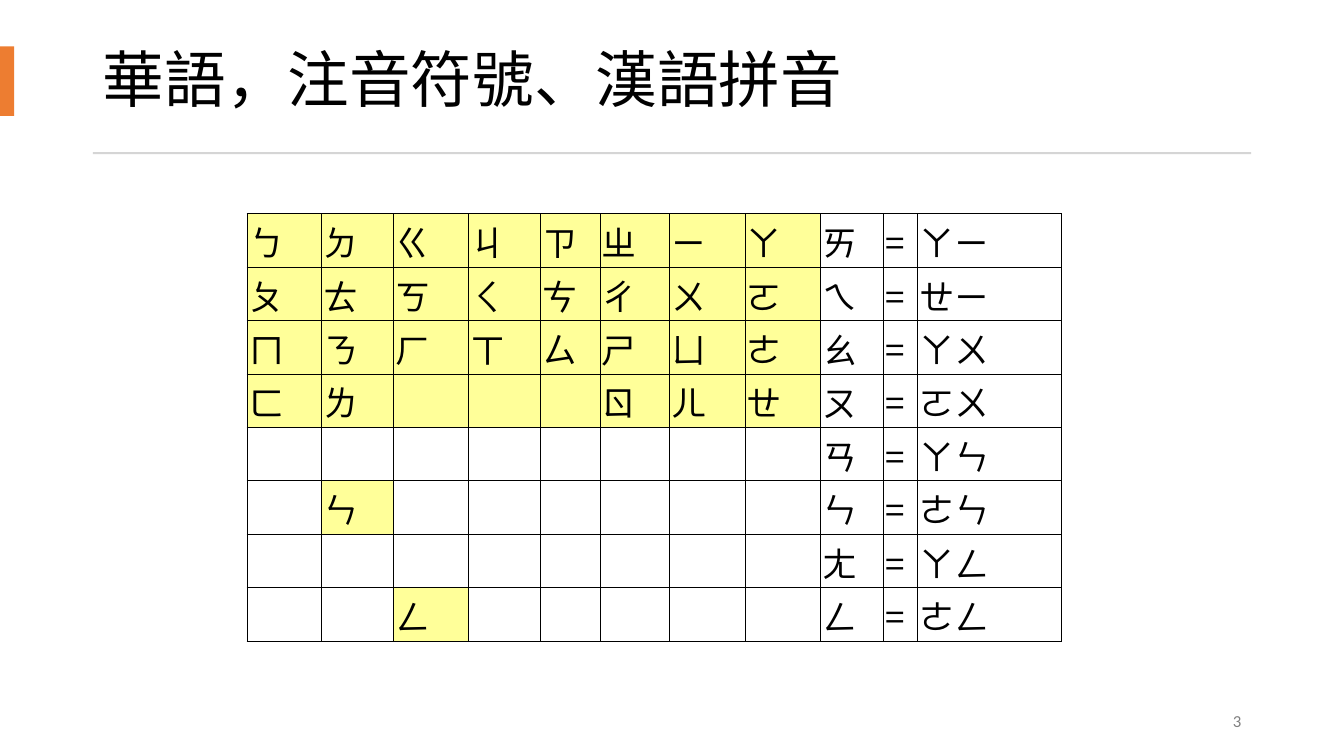
from lxml.etree import SubElement
from pptx import Presentation
from pptx.dml.color import RGBColor
from pptx.enum.shapes import MSO_SHAPE
from pptx.enum.text import MSO_ANCHOR, MSO_AUTO_SIZE, PP_ALIGN
from pptx.oxml.ns import qn
from pptx.util import Inches, Pt

BLACK = RGBColor(0x00, 0x00, 0x00)
GRAY = RGBColor(0x80, 0x80, 0x80)
RULE_GRAY = RGBColor(0xD5, 0xD5, 0xD5)
ORANGE = RGBColor(0xED, 0x7D, 0x31)
YELLOW = RGBColor(0xFF, 0xFF, 0x99)

LATIN_FONT = "Calibri"
CJK_FONT = "Noto Sans CJK TC"

BASIC_SYMBOLS = [
    "ㄅㄉㄍㄐㄗㄓㄧㄚ",
    "ㄆㄊㄎㄑㄘㄔㄨㄛ",
    "ㄇㄋㄏㄒㄙㄕㄩㄜ",
    ["ㄈ", "ㄌ", "", "", "", "ㄖ", "ㄦ", "ㄝ"],
    [""] * 8,
    ["", "ㄣ"] + [""] * 6,
    [""] * 8,
    ["", "", "ㄥ"] + [""] * 5,
]
COMPOUND_FINALS = [
    ("ㄞ", "ㄚㄧ"), ("ㄟ", "ㄝㄧ"), ("ㄠ", "ㄚㄨ"), ("ㄡ", "ㄛㄨ"),
    ("ㄢ", "ㄚㄣ"), ("ㄣ", "ㄜㄣ"), ("ㄤ", "ㄚㄥ"), ("ㄥ", "ㄜㄥ"),
]
COLUMN_WIDTHS = [0.74, 0.71, 0.75, 0.71, 0.59, 0.69, 0.75, 0.75, 0.62, 0.34, 1.43]
ROW_HEIGHT = 0.53
FULL_ROWS = 4
BASIC_COLUMNS = 8


def write_text(frame, text, size, font=LATIN_FONT, color=BLACK,
               align=PP_ALIGN.LEFT, line_spacing=None, space_after=None):
    frame.word_wrap = True
    frame.vertical_anchor = MSO_ANCHOR.MIDDLE
    paragraph = frame.paragraphs[0]
    paragraph.alignment = align
    paragraph.line_spacing = line_spacing
    paragraph.space_after = space_after
    run = paragraph.add_run()
    run.text = text
    run.font.size = Pt(size)
    run.font.color.rgb = color
    run.font.name = font
    SubElement(run.font._element, qn("a:ea"), typeface=CJK_FONT)


def place_title(slide, text):
    title = slide.shapes.title
    title.left, title.top = Inches(0.92), Inches(0.27)
    title.width, title.height = Inches(11.49), Inches(1.1)
    title.text_frame.auto_size = MSO_AUTO_SIZE.NONE
    write_text(title.text_frame, text, 44, line_spacing=0.9)


def add_bar(slide, left, top, width, height, color):
    bar = slide.shapes.add_shape(MSO_SHAPE.RECTANGLE, Inches(left), Inches(top),
                                 Inches(width), Inches(height))
    bar.shadow.inherit = False
    bar.fill.solid()
    bar.fill.fore_color.rgb = color
    bar.line.fill.background()


def add_page_number(slide, number):
    page_number = slide.shapes.add_textbox(Inches(9.69), Inches(6.95),
                                           Inches(2.72), Inches(0.4))
    write_text(page_number.text_frame, number, 12, color=GRAY,
               align=PP_ALIGN.RIGHT, space_after=Pt(6))


def draw_borders(cell):
    properties = cell._tc.get_or_add_tcPr()
    for side in ("lnL", "lnR", "lnT", "lnB"):
        border = SubElement(properties, qn(f"a:{side}"), w=str(Pt(0.5)))
        fill = SubElement(border, qn("a:solidFill"))
        SubElement(fill, qn("a:srgbClr"), val=str(BLACK))


def format_cell(cell, symbol, highlighted):
    cell.margin_left = cell.margin_right = cell.margin_top = Inches(0.02)
    cell.margin_bottom = 0
    cell.vertical_anchor = MSO_ANCHOR.MIDDLE
    draw_borders(cell)
    if highlighted:
        cell.fill.solid()
        cell.fill.fore_color.rgb = YELLOW
    else:
        cell.fill.background()
    if symbol:
        write_text(cell.text_frame, symbol, 25, font=CJK_FONT)
        cell.vertical_anchor = MSO_ANCHOR.MIDDLE


def add_symbol_table(slide):
    rows = [[*basics, final, "=", parts]
            for basics, (final, parts) in zip(BASIC_SYMBOLS, COMPOUND_FINALS)]
    table = slide.shapes.add_table(
        len(rows), len(COLUMN_WIDTHS), Inches(2.45), Inches(2.12),
        Inches(sum(COLUMN_WIDTHS)), Inches(ROW_HEIGHT * len(rows))).table
    table.first_row = False
    table.horz_banding = False
    for column, width in zip(table.columns, COLUMN_WIDTHS):
        column.width = Inches(width)
    for r, symbols in enumerate(rows):
        table.rows[r].height = Inches(ROW_HEIGHT)
        for c, symbol in enumerate(symbols):
            highlighted = c < BASIC_COLUMNS and (r < FULL_ROWS or symbol != "")
            format_cell(table.cell(r, c), symbol, highlighted)


def main():
    presentation = Presentation()
    presentation.slide_width = Inches(13.33)
    presentation.slide_height = Inches(7.5)
    slide = presentation.slides.add_slide(presentation.slide_layouts[5])
    place_title(slide, "華語，注音符號、漢語拼音")
    add_bar(slide, 0, 0.46, 0.14, 0.69, ORANGE)
    add_bar(slide, 0.92, 1.51, 11.49, 0.02, RULE_GRAY)
    add_page_number(slide, "3")
    add_symbol_table(slide)
    presentation.save("out.pptx")


if __name__ == "__main__":
    main()
